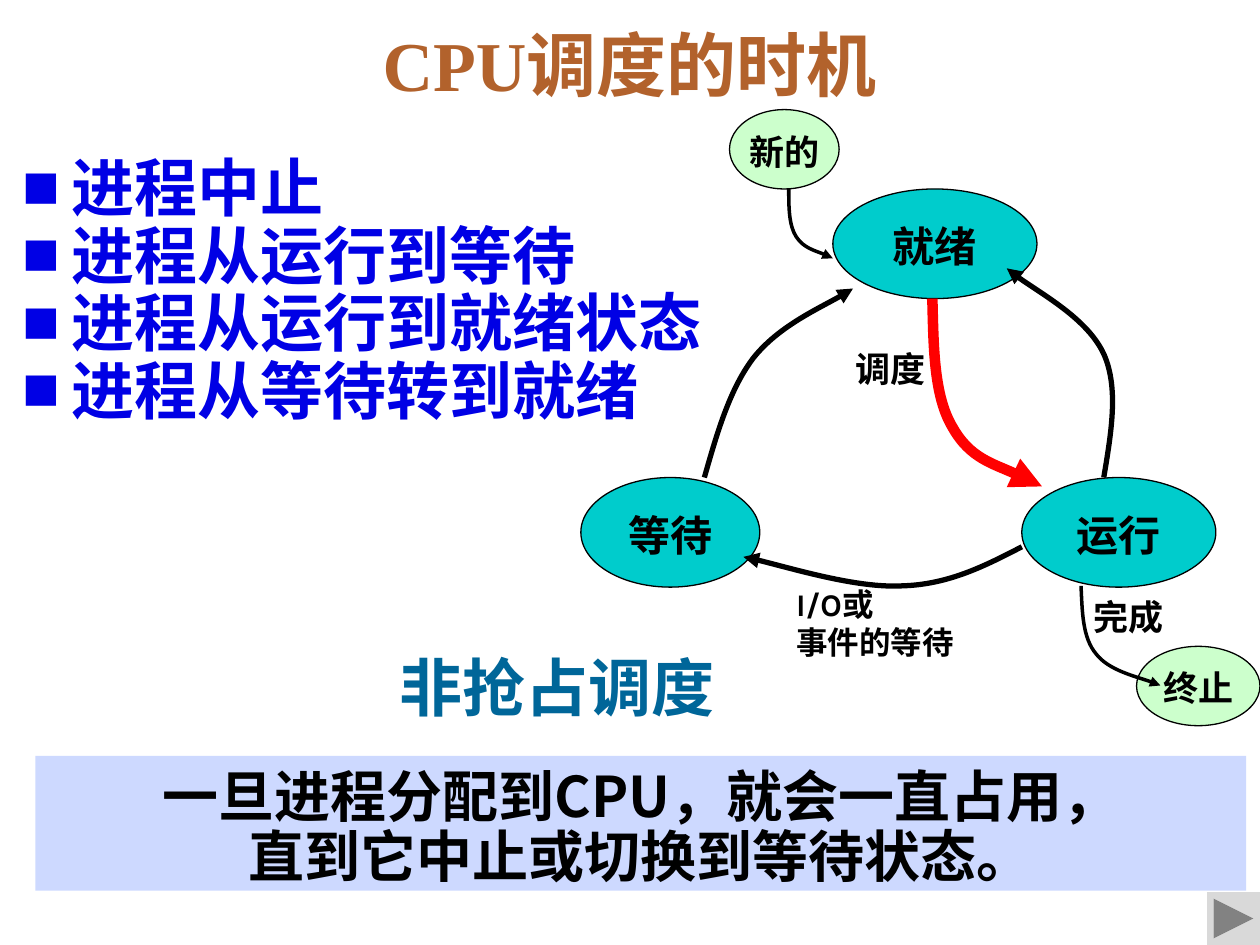
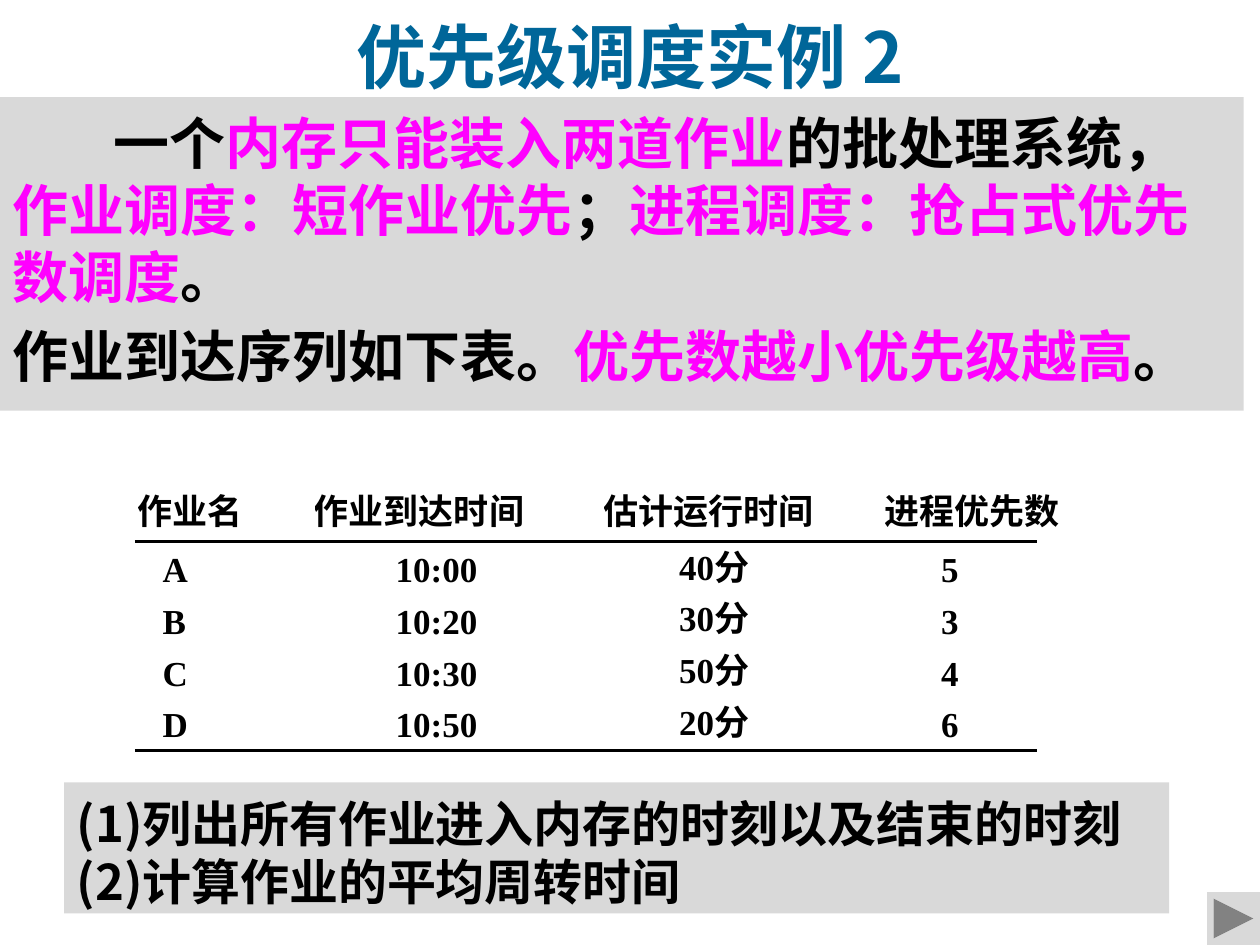
from dataclasses import dataclass

from lxml import etree
from pptx import Presentation
from pptx.dml.color import RGBColor
from pptx.enum.shapes import MSO_CONNECTOR, MSO_SHAPE
from pptx.enum.text import MSO_ANCHOR, PP_ALIGN
from pptx.oxml.ns import qn
from pptx.util import Inches, Pt

RECTANGLE, ELLIPSE = MSO_SHAPE.RECTANGLE, MSO_SHAPE.OVAL
NEXT_BUTTON = MSO_SHAPE.ACTION_BUTTON_FORWARD_OR_NEXT
STRAIGHT = MSO_CONNECTOR.STRAIGHT
LEFT, CENTER = PP_ALIGN.LEFT, PP_ALIGN.CENTER
TOP, MIDDLE = MSO_ANCHOR.TOP, MSO_ANCHOR.MIDDLE

BLACK = RGBColor(0x00, 0x00, 0x00)
RUST = RGBColor(0xB2, 0x62, 0x2C)
BLUE = RGBColor(0x00, 0x00, 0xE5)
STEEL = RGBColor(0x00, 0x66, 0x99)
MAGENTA = RGBColor(0xFF, 0x00, 0xFF)
RED = RGBColor(0xFF, 0x00, 0x00)
TEAL = RGBColor(0x00, 0xCC, 0xCC)
MINT = RGBColor(0xCC, 0xFF, 0xCC)
PERIWINKLE = RGBColor(0xCD, 0xD9, 0xFF)
GREY = RGBColor(0xD9, 0xD9, 0xD9)

SERIF, SANS, LABEL = "Times New Roman", "Noto Sans CJK SC", "Karla"
LINE_HEIGHT = 1.19

Box = tuple[float, float, float, float]
Point = tuple[float, float]


@dataclass(frozen=True)
class Style:
    size: int
    font: str = SERIF
    color: RGBColor = BLACK
    align: PP_ALIGN = LEFT
    spacing: float = 1.0


@dataclass(frozen=True)
class State:
    name: str
    box: Box
    fill: RGBColor
    size: int


@dataclass(frozen=True)
class Transition:
    """Cubic curves: a start, then two controls and an end for each curve."""
    points: list[Point]
    width: float
    color: RGBColor = BLACK


@dataclass(frozen=True)
class Label:
    text: str
    box: Box
    size: int


@dataclass(frozen=True)
class Column:
    header: str
    width: float
    body_indent: float
    values: list[str]


STATES = [
    State("就绪", (6.61, 1.5, 1.62, 0.87), TEAL, 24),
    State("等待", (4.61, 3.79, 1.42, 0.87), TEAL, 24),
    State("运行", (8.11, 3.79, 1.54, 0.87), TEAL, 24),
    State("新的", (5.79, 0.87, 0.87, 0.63), MINT, 20),
    State("终止", (9.02, 5.13, 0.98, 0.63), MINT, 20),
]
TRANSITIONS = [
    Transition([(5.59, 3.79), (5.69, 3.44), (5.79, 3.09), (5.98, 2.84),
                (6.18, 2.59), (6.64, 2.38), (6.77, 2.29)], 3),
    Transition([(8.11, 4.34), (7.82, 4.49), (7.53, 4.64), (7.16, 4.65),
                (6.8, 4.67), (6.11, 4.46), (5.9, 4.42)], 3),
    Transition([(7.4, 2.37), (7.41, 2.75), (7.41, 3.14), (7.56, 3.39),
                (7.7, 3.64), (8.15, 3.79), (8.27, 3.86)], 6, RED),
    Transition([(8.76, 3.79), (8.82, 3.43), (8.88, 3.08), (8.76, 2.81),
                (8.63, 2.53), (8.12, 2.25), (7.99, 2.13)], 3),
    Transition([(6.26, 1.5), (6.26, 1.64), (6.26, 1.79), (6.32, 1.88),
                (6.38, 1.97), (6.56, 2.02), (6.61, 2.05)], 2),
    Transition([(8.58, 4.65), (8.59, 4.85), (8.59, 5.06), (8.7, 5.19),
                (8.8, 5.32), (9.13, 5.4), (9.21, 5.44)], 2),
]
LABELS = [
    Label("调度", (6.69, 2.68, 0.87, 0.43), 20),
    Label("I/O或\n事件的等待", (6.22, 4.57, 1.57, 0.71), 18),
    Label("完成", (8.58, 4.65, 1.42, 0.43), 20),
]
JOB_COLUMNS = [
    Column("作业名", 1.4, 0.2, ["A", "B", "C", "D"]),
    Column("作业到达时间", 2.3, 0.65, ["10:00", "10:20", "10:30", "10:50"]),
    Column("估计运行时间", 2.23, 0.6, ["40分", "30分", "50分", "20分"]),
    Column("进程优先数", 1.55, 0.45, ["5", "3", "4", "6"]),
]


def inches(box: Box) -> list:
    return [Inches(length) for length in box]


def top_inset(style: Style):
    """Lowers text in proportion to its size, to offset the fixed line height."""
    return Inches(0.05 + 0.0015 * style.size)


def format_run(run, style: Style, color: RGBColor) -> None:
    run.font.size = Pt(style.size)
    run.font.bold = True
    run.font.color.rgb = color
    run.font.name = style.font
    east_asian = etree.SubElement(run.font._element, qn("a:ea"))
    east_asian.set("typeface", SANS)


def format_paragraph(paragraph, style: Style) -> None:
    paragraph.alignment = style.align
    paragraph.line_spacing = Pt(round(style.size * LINE_HEIGHT * style.spacing, 1))
    for run in paragraph.runs:
        format_run(run, style, style.color)


def write(frame, text: str, style: Style, anchor=TOP, wrap=True) -> None:
    frame.text = text
    frame.word_wrap = wrap
    frame.vertical_anchor = anchor
    frame.margin_top = top_inset(style)
    for paragraph in frame.paragraphs:
        format_paragraph(paragraph, style)


def add_text(slide, box: Box, text: str, style: Style):
    frame = slide.shapes.add_textbox(*inches(box)).text_frame
    write(frame, text, style)
    return frame


def add_filled(slide, kind, box: Box, fill: RGBColor):
    shape = slide.shapes.add_shape(kind, *inches(box))
    shape.shadow.inherit = False
    shape.fill.solid()
    shape.fill.fore_color.rgb = fill
    shape.line.fill.background()
    return shape


def add_panel(slide, box: Box, fill: RGBColor, text: str, style: Style):
    frame = add_filled(slide, RECTANGLE, box, fill).text_frame
    write(frame, text, style)
    return frame


def add_bullets(frame, hang: float, *marks: tuple[str, dict[str, str]]) -> None:
    for paragraph in frame.paragraphs:
        properties = paragraph._p.get_or_add_pPr()
        properties.set("marL", str(Inches(hang)))
        properties.set("indent", str(-Inches(hang)))
        for tag, attributes in marks:
            etree.SubElement(properties, qn(tag), attributes)


def add_state(slide, state: State) -> None:
    ellipse = add_filled(slide, ELLIPSE, state.box, state.fill)
    ellipse.line.color.rgb = BLACK
    ellipse.line.width = Pt(0.75)
    write(ellipse.text_frame, state.name,
          Style(state.size, LABEL, align=CENTER), MIDDLE, wrap=False)


def add_transition(slide, transition: Transition) -> None:
    start, *rest = [(Inches(x), Inches(y)) for x, y in transition.points]
    builder = slide.shapes.build_freeform(*start)
    builder.add_line_segments(rest, close=False)
    arrow = builder.convert_to_shape()
    arrow.shadow.inherit = False
    arrow.fill.background()
    arrow.line.color.rgb = transition.color
    arrow.line.width = Pt(transition.width)
    etree.SubElement(arrow.line._get_or_add_ln(), qn("a:tailEnd"), {"type": "triangle"})

    segments = list(arrow._element.iter(qn("a:lnTo")))
    outline = segments[0].getparent()
    for first in range(0, len(segments), 3):
        curve = etree.SubElement(outline, qn("a:cubicBezTo"))
        for segment in segments[first:first + 3]:
            curve.append(segment[0])
            outline.remove(segment)


def add_job_table(slide) -> None:
    style = Style(20)
    rows = len(JOB_COLUMNS[0].values) + 1
    width = sum(column.width for column in JOB_COLUMNS)
    table = slide.shapes.add_table(
        rows, len(JOB_COLUMNS), *inches((1.09, 3.83, width, 2.11))).table
    table.first_row = table.horz_banding = False
    for row_index, row in enumerate(table.rows):
        row.height = Inches(0.41 if row_index else 0.47)
    for column_index, column in enumerate(JOB_COLUMNS):
        table.columns[column_index].width = Inches(column.width)
        for row_index, text in enumerate([column.header, *column.values]):
            cell = table.cell(row_index, column_index)
            cell.fill.background()
            cell.text = text
            cell.vertical_anchor = MIDDLE
            cell.margin_left = Inches(column.body_indent if row_index else 0)
            cell.margin_right = cell.margin_bottom = 0
            cell.margin_top = Inches(0.03)
            format_paragraph(cell.text_frame.paragraphs[0], style)


def add_rule(slide, y: float) -> None:
    rule = slide.shapes.add_connector(STRAIGHT, *inches((1.07, y, 8.23, y)))
    rule.line.color.rgb = BLACK
    rule.line.width = Pt(1.75)
    etree.SubElement(rule._element.spPr, qn("a:effectLst"))


def add_slide(deck, title: str, title_box: Box, title_style: Style):
    slide = deck.slides.add_slide(deck.slide_layouts[6])
    add_text(slide, title_box, title, title_style)
    add_filled(slide, NEXT_BUTTON, (9.58, 7.08, 0.42, 0.42), GREY)
    return slide


def build_timing_slide(deck) -> None:
    slide = add_slide(deck, "CPU调度的时机", (2.24, 0.07, 5.51, 0.77),
                      Style(40, color=RUST, align=CENTER))
    occasions = add_text(
        slide, (0.08, 1.14, 5.98, 2.55),
        "进程中止\n进程从运行到等待\n进程从运行到就绪状态\n进程从等待转到就绪",
        Style(36, color=BLUE, spacing=0.9))
    add_bullets(occasions, 0.39, ("a:buSzPct", {"val": "60000"}),
                ("a:buFont", {"typeface": SANS}), ("a:buChar", {"char": "■"}))
    add_text(slide, (1.76, 4.87, 5.32, 0.88), "非抢占调度",
             Style(36, color=STEEL, align=CENTER, spacing=1.3))
    add_panel(slide, (0.28, 6, 9.61, 1.07), PERIWINKLE,
              "一旦进程分配到CPU，就会一直占用，\n直到它中止或切换到等待状态。",
              Style(32, SANS, align=CENTER, spacing=0.9))
    for state in STATES:
        add_state(slide, state)
    for transition in TRANSITIONS:
        add_transition(slide, transition)
    for label in LABELS:
        add_text(slide, label.box, label.text, Style(label.size, LABEL))


def build_example_slide(deck) -> None:
    slide = add_slide(deck, "优先级调度实例 2", (1.81, 0, 6.38, 0.77),
                      Style(40, SANS, STEEL, CENTER))
    style = Style(32)
    problem = add_panel(slide, (0, 0.77, 9.87, 2.49), GREY, "一个", style)
    conditions = problem.paragraphs[0]
    conditions._p.get_or_add_pPr().set("indent", str(Inches(0.8)))
    arrivals = problem.add_paragraph()
    for paragraph, text, color in [
        (conditions, "内存只能装入两道作业", MAGENTA),
        (conditions, "的批处理系统，", BLACK),
        (conditions, "作业调度：短作业优先", MAGENTA),
        (conditions, "；", BLACK),
        (conditions, "进程调度：抢占式优先数调度", MAGENTA),
        (conditions, "。", BLACK),
        (arrivals, "作业到达序列如下表。", BLACK),
        (arrivals, "优先数越小优先级越高", MAGENTA),
        (arrivals, "。", BLACK),
    ]:
        run = paragraph.add_run()
        run.text = text
        format_run(run, style, color)
    arrivals.alignment = LEFT
    arrivals.line_spacing = conditions.line_spacing
    arrivals.space_before = Pt(7)

    add_job_table(slide)
    for y in (4.3, 5.96):
        add_rule(slide, y)
    tasks = add_panel(slide, (0.51, 6.21, 8.77, 1.04), GREY,
                      "列出所有作业进入内存的时刻以及结束的时刻\n计算作业的平均周转时间",
                      Style(28))
    add_bullets(tasks, 0.5, ("a:buFont", {"typeface": SANS}),
                ("a:buAutoNum", {"type": "arabicParenBoth"}))


def main() -> None:
    deck = Presentation()
    deck.slide_width, deck.slide_height = Inches(10), Inches(7.5)
    build_timing_slide(deck)
    build_example_slide(deck)
    deck.save("out.pptx")


if __name__ == "__main__":
    main()
